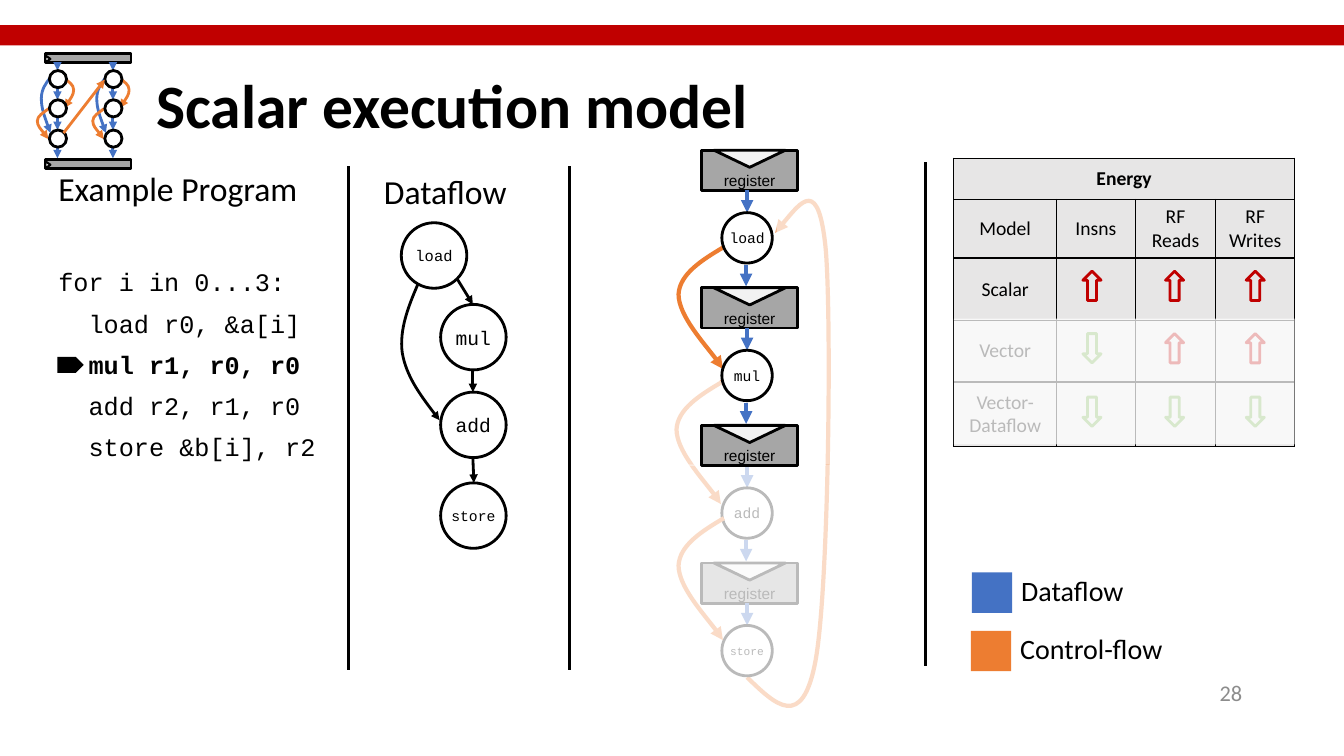
from lxml import etree
from pptx import Presentation
from pptx.dml.color import RGBColor
from pptx.enum import shapes, text
from pptx.oxml import ns
from pptx.util import Inches, Pt

BLACK = RGBColor(0, 0, 0)
WHITE = RGBColor(255, 255, 255)
RED = RGBColor(0xC0, 0, 0)
BLUE = RGBColor(0x44, 0x72, 0xC4)
ORANGE = RGBColor(0xED, 0x7D, 0x31)
GREEN = RGBColor(0x70, 0xAD, 0x47)
GRAY = RGBColor(0xA6, 0xA6, 0xA6)
PALE = RGBColor(0xF2, 0xF2, 0xF2)
CELL = RGBColor(0xE7, 0xE6, 0xE6)
DIM = RGBColor(0x8C, 0x8C, 0x8C)
KIND = shapes.MSO_SHAPE
CENTER = text.PP_ALIGN.CENTER
MIDDLE = text.MSO_ANCHOR.MIDDLE
STEP = 1.365  # height of one pipeline stage


def sub(node, tag, **attrs):
    return etree.SubElement(node, ns.qn(tag), **attrs)


def style(run, size, font="Calibri", color=BLACK, bold=False):
    run.font.size, run.font.name = Pt(size), font
    run.font.color.rgb, run.font.bold = color, bold


def shape(box, kind, x, y, w, h, fill=None, line=None, width=2, turn=0):
    item = box.add_shape(kind, Inches(x), Inches(y), Inches(w), Inches(h))
    item.shadow.inherit = False
    item.rotation = turn
    if fill is None:
        item.fill.background()
    else:
        item.fill.solid()
        item.fill.fore_color.rgb = fill
    if line is None:
        item.line.fill.background()
    else:
        item.line.color.rgb, item.line.width = line, Pt(width)
    return item


def caption(item, words, size, font, pads=(0, 0, 0, 0)):
    frame = item.text_frame
    frame.margin_left, frame.margin_top, frame.margin_right, frame.margin_bottom = map(Inches, pads)
    frame.vertical_anchor = MIDDLE
    frame.text = words
    frame.paragraphs[0].alignment = CENTER
    style(frame.paragraphs[0].runs[0], size, font)


def label(box, words, x, y, w, h, size, color=BLACK, bold=False, space=None, wrap=True, anchor=None):
    item = box.add_textbox(Inches(x), Inches(y), Inches(w), Inches(h))
    frame = item.text_frame
    frame.word_wrap = wrap
    frame.vertical_anchor = anchor
    frame.text = words
    para = frame.paragraphs[0]
    para.line_spacing = space
    style(para.runs[0], size, color=color, bold=bold)
    return para


def stroke(item, color, width, head):
    item.line.color.rgb, item.line.width = color, Pt(width)
    if head:
        sub(item._element.xpath(".//a:ln")[0], "a:tailEnd", type="triangle")


def line(box, x1, y1, x2, y2, color=BLACK, width=2, head=True):
    item = box.add_connector(shapes.MSO_CONNECTOR.STRAIGHT, *map(Inches, (x1, y1, x2, y2)))
    stroke(item, color, width, head)
    sub(item._element.spPr, "a:effectLst")


def curve(box, points, color=BLACK, width=2, dx=0, dy=0):
    """Arrow through Bezier points: a start, then three points per segment."""
    spots = [(Inches(x + dx), Inches(y + dy)) for x, y in points]
    form = box.build_freeform(*spots[0])
    form.add_line_segments(spots[1:], close=False)
    item = form.convert_to_shape()
    item.shadow.inherit = False
    item.fill.background()
    stroke(item, color, width, True)
    legs = item._element.xpath(".//a:lnTo")
    trail = legs[0].getparent()
    for i in range(0, len(legs), 3):
        bend = sub(trail, "a:cubicBezTo")
        for leg in legs[i:i + 3]:
            bend.append(leg[0])
            trail.remove(leg)


def node(box, x, y, d, words, size, fill=None):
    caption(shape(box, KIND.OVAL, x, y, d, d, fill, BLACK), words, size, "Courier New")


def veil(box, x, y, w, h):
    item = shape(box, KIND.RECTANGLE, x, y, w, h, WHITE)
    tint = item._element.spPr.xpath("./a:solidFill/a:srgbClr")[0]
    sub(tint, "a:alpha", val="73000")


def latch(box, k):
    y = 1.49 + STEP * k
    item = shape(box, KIND.RECTANGLE, 6.96, y, 0.95, 0.4, GRAY, BLACK)
    caption(item, "register", 11, "Arial", (0.1, 0.3, 0.1, 0.1))
    shape(box, KIND.ISOSCELES_TRIANGLE, 7.08, y, 0.71, 0.17, PALE, BLACK, turn=180)


def stage(box, k, words, size=10.5):
    y = 1.49 + STEP * k
    line(box, 7.41, y + 0.4, 7.41, y + 0.62, BLUE, 3)
    node(box, 7.16, y + 0.62, 0.5, words, size, WHITE)
    if k < 3:
        line(box, 7.4, y + 1.14, 7.4, y + 1.35, BLUE, 3)


def program(box):
    item = box.add_textbox(Inches(0.48), Inches(2.63), Inches(2.84), Inches(2.29))
    frame = item.text_frame
    frame.word_wrap = True
    frame.text = "for i in 0...3:\n  load r0, &a[i]\n  mul r1, r0, r0\n  add r2, r1, r0\n  store &b[i], r2"
    for i, para in enumerate(frame.paragraphs):
        para.line_spacing = 0.9
        if i:
            para.space_before = Pt(10)
        style(para.runs[0], 18, "Courier New", bold=i == 2)
    shape(box, KIND.PENTAGON, 0.57, 3.54, 0.26, 0.16, BLACK)


def graph(box):
    node(box, 3.98, 2.21, 0.65, "load", 11)
    for words, y, size in (("mul", 3.02, 14), ("add", 3.89, 14), ("store", 4.79, 10.5)):
        node(box, 4.37, y, 0.65, words, size)
    line(box, 4.53, 2.76, 4.69, 3.02)
    line(box, 4.69, 3.67, 4.69, 3.89)
    line(box, 4.69, 4.54, 4.7, 4.79)
    curve(box, [(4.15, 2.81), (4.05, 3.04), (3.96, 3.27), (3.99, 3.5),
                (4.03, 3.73), (4.19, 3.95), (4.36, 4.17)])


def pipeline(box):
    curve(box, [(7.41, 6.72), (7.69, 6.99), (7.96, 7.26), (8.09, 6.55), (8.22, 5.84),
                (8.25, 3.17), (8.19, 2.47), (8.12, 1.76), (7.91, 2.04), (7.69, 2.31)], ORANGE, 3)
    # Pending steps, faded by veils
    stage(box, 2, "add")
    latch(box, 3)
    stage(box, 3, "store", 8)
    for dx, dy in ((0, 0), (-0.02, 1.34), (0, 2.69)):
        curve(box, [(7.18, 2.45), (6.96, 2.58), (6.74, 2.72), (6.73, 2.92),
                    (6.73, 3.13), (7.1, 3.54), (7.17, 3.66)], ORANGE, 3, dx, dy)
    for spot in ((6.67, 4.61, 1.68, 2.48), (7.7, 1.95, 0.69, 0.9),
                 (7.97, 2.85, 0.69, 1.76), (6.24, 3.78, 0.92, 0.84)):
        veil(box, *spot)
    # Steps done so far
    for k, words in enumerate(("load", "mul")):
        latch(box, k)
        stage(box, k, words)
    latch(box, 2)


def energy(box):
    rows = (("Energy", "", "", ""), ("Model", "Insns", "RF Reads", "RF Writes"),
            ("Scalar", "", "", ""), ("Vector", "", "", ""), ("Vector-Dataflow", "", "", ""))
    item = box.add_table(5, 4, Inches(9.46), Inches(1.57), Inches(3.38), Inches(2.86))
    grid = item.table
    for col, w in zip(grid.columns, (1.02, 0.78, 0.8, 0.78)):
        col.width = Inches(w)
    for i, (row, h) in enumerate(zip(rows, (0.41, 0.58, 0.62, 0.61, 0.64))):
        grid.rows[i].height = Inches(h)
        for j, words in enumerate(row):
            cell = grid.cell(i, j)
            cell.vertical_anchor = MIDDLE
            props = cell._tc.get_or_add_tcPr()
            for side in ("a:lnL", "a:lnR", "a:lnT", "a:lnB"):
                edge = sub(props, side, w="12700")
                sub(sub(edge, "a:solidFill"), "a:srgbClr", val=str(BLACK))
            cell.fill.solid()
            cell.fill.fore_color.rgb = CELL
            if words:
                cell.text = words
                para = cell.text_frame.paragraphs[0]
                para.alignment = CENTER
                style(para.runs[0], 14, bold=i == 0)
    grid.cell(0, 0).merge(grid.cell(0, 3))
    # Cost arrows: up is more, down is less
    for y, marks in ((2.69, "UUU"), (3.31, "DUU"), (3.94, "DDD")):
        for x, mark in zip((10.74, 11.56, 12.36), marks):
            up = mark == "U"
            shape(box, KIND.UP_ARROW, x, y, 0.18, 0.29, None, RED if up else GREEN, turn=0 if up else 180)
    veil(box, 9.46, 3.16, 3.38, 1.25)


def icon(box):
    for y in (0.53, 1.58):
        shape(box, KIND.RECTANGLE, 0.45, y, 0.85, 0.09, GRAY, BLACK)
        shape(box, KIND.ISOSCELES_TRIANGLE, 0.44, y + 0.03, 0.07, 0.05, PALE, BLACK, 1.5, 90)
    for dx in (0, 0.55):
        for y1, y2 in ((0.65, 0.7), (0.87, 0.99), (1.17, 1.29), (1.45, 1.57)):
            line(box, 0.57 + dx, y1, 0.57 + dx, y2, BLUE)
        curve(box, [(0.5, 0.77), (0.45, 0.83), (0.41, 0.89), (0.41, 0.98),
                    (0.41, 1.08), (0.48, 1.26), (0.5, 1.32)], BLUE, dx=dx)
        curve(box, [(0.48, 1.08), (0.43, 1.12), (0.37, 1.15), (0.37, 1.2),
                    (0.37, 1.25), (0.46, 1.35), (0.48, 1.38)], ORANGE, dx=dx)
        curve(box, [(0.64, 0.78), (0.68, 0.81), (0.73, 0.84), (0.73, 0.89),
                    (0.73, 0.94), (0.66, 1.04), (0.64, 1.07)], ORANGE, dx=dx)
        for y in (0.7, 0.99, 1.29):
            shape(box, KIND.OVAL, 0.49 + dx, y, 0.17, 0.17, WHITE, BLACK)
    line(box, 0.63, 1.32, 1.04, 0.79, ORANGE)


def main():
    deck = Presentation()
    deck.slide_width, deck.slide_height = Inches(13.33), Inches(7.5)
    box = deck.slides.add_slide(deck.slide_layouts[6]).shapes
    # Banner, title and page number
    shape(box, KIND.RECTANGLE, -0.01, 0.25, 13.34, 0.2, RED)
    label(box, "Scalar execution model", 1.45, 0.35, 6.42, 1.45, 44, bold=True, space=0.9, anchor=MIDDLE)
    page = label(box, "28", 9.42, 6.67, 3, 0.4, 16, DIM, anchor=MIDDLE)
    page.alignment = text.PP_ALIGN.RIGHT
    icon(box.add_group_shape().shapes)
    # Columns
    label(box, "Example Program", 0.48, 1.69, 2.69, 0.44, 24, space=0.8)
    program(box)
    label(box, "Dataflow", 3.71, 1.72, 1.51, 0.44, 24, space=0.8)
    graph(box.add_group_shape().shapes)
    pipeline(box)
    energy(box)
    for x, y in ((3.46, 1.65), (5.65, 1.65), (9.18, 1.61)):
        line(box, x, y, x, y + 5, head=False)
    # Legend
    for words, x, y, w, color in (("Dataflow", 9.64, 5.68, 1.23, BLUE), ("Control-flow", 9.63, 6.26, 1.62, ORANGE)):
        shape(box, KIND.RECTANGLE, x, y, 0.4, 0.4, color)
        label(box, words, x + 0.39, y - 0.04, w, 0.44, 20, wrap=False)
    deck.save("out.pptx")


if __name__ == "__main__":
    main()
